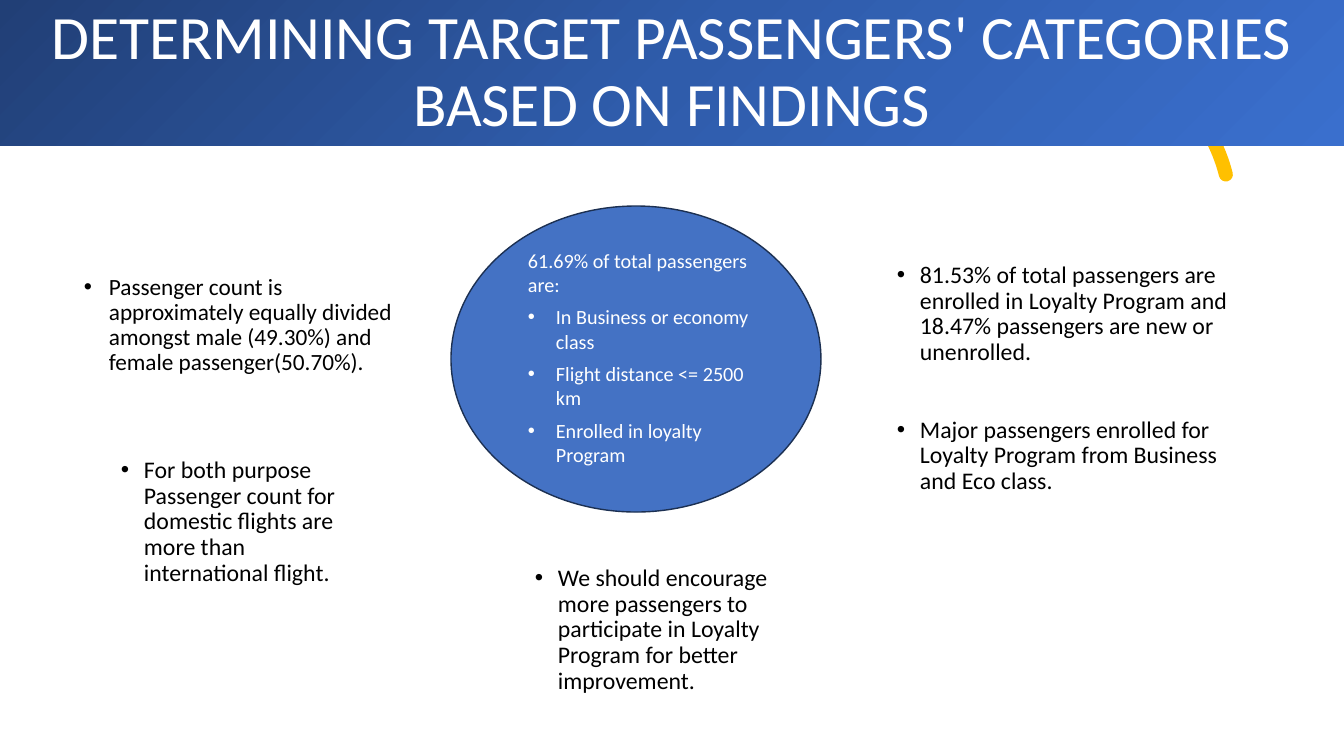
import pptx
import pptx.util
import pptx.dml.color
import pptx.enum.dml
import pptx.enum.shapes
import pptx.enum.text
import pptx.oxml
import pptx.oxml.ns

RGBColor = pptx.dml.color.RGBColor
WHITE = RGBColor(0xFF, 0xFF, 0xFF)
BLACK = RGBColor(0, 0, 0)
BLUE = RGBColor(0x44, 0x72, 0xC4)
NAVY = RGBColor(0x1C, 0x30, 0x52)
GOLD = RGBColor(0xFF, 0xC0, 0x00)
BANNER_STOPS = [
    (0, RGBColor(0x21, 0x3F, 0x76)),
    (50, RGBColor(0x2F, 0x5C, 0xAB)),
    (100, RGBColor(0x3A, 0x6F, 0xCD)),
]
FONT = "Calibri"
PX = 914400 / 100.8

TITLE = "DETERMINING TARGET PASSENGERS' CATEGORIES BASED ON FINDINGS"
TARGET_INTRO = "61.69% of total passengers are:"
TARGET_TRAITS = [
    "In Business or economy class",
    "Flight distance <= 2500 km",
    "Enrolled in loyalty Program",
]
FINDINGS = [
    ((111, 453, 273, 157), 17, 23, [
        "For both purpose Passenger count for domestic flights are more than "
        "international flight."]),
    ((887, 258, 370, 266), 17, 23, [
        "81.53% of total passengers are enrolled in Loyalty Program and 18.47% "
        "passengers are new or unenrolled.",
        "Major passengers enrolled for Loyalty Program from Business and Eco class."]),
    ((74, 270, 348, 122), 16.6, 25, [
        "Passenger count is approximately equally divided amongst male (49.30%) "
        "and female passenger(50.70%)."]),
    ((525, 561, 273, 157), 17, 23, [
        "We should encourage more passengers to participate in Loyalty Program "
        "for better improvement."]),
]


def px(n):
    return pptx.util.Emu(round(n * PX))


def xml(text):
    return pptx.oxml.parse_xml(text.replace(">", " " + pptx.oxml.ns.nsdecls("a") + ">", 1))


def add_shape(kind, box):
    sp = slide.shapes.add_shape(kind, *map(px, box))
    sp.shadow.inherit = False
    return sp


def add_textbox(box):
    tf = slide.shapes.add_textbox(*map(px, box)).text_frame
    tf.word_wrap = True
    return tf


def add_text(tf, text, size, color=BLACK, indent=0, before=0, spacing=None, align=None):
    p = tf.paragraphs[0] if not tf.text else tf.add_paragraph()
    p.space_before = pptx.util.Pt(before)
    p.line_spacing = spacing
    p.alignment = align
    if indent:
        pPr = p._p.get_or_add_pPr()
        pPr.set("marL", str(px(indent)))
        pPr.set("indent", str(-px(indent)))
        pPr.append(xml(f'<a:buClr><a:srgbClr val="{color}"/></a:buClr>'))
        pPr.append(xml('<a:buFont typeface="Arial"></a:buFont>'))
        pPr.append(xml('<a:buChar char="•"></a:buChar>'))
    r = p.add_run()
    r.text = text
    r.font.size = pptx.util.Pt(size)
    r.font.name = FONT
    r.font.color.rgb = color


prs = pptx.Presentation()
prs.slide_width, prs.slide_height = px(1344), px(756)
slide = prs.slides.add_slide(prs.slide_layouts[6])
SHAPE = pptx.enum.shapes.MSO_SHAPE

arc = add_shape(SHAPE.ARC, (901, 50, 330, 330))
arc.adjustments[0], arc.adjustments[1] = 146.13, 0
arc.rotation = 345.8
arc.fill.background()
arc.line.color.rgb = GOLD
arc.line.width = pptx.util.Pt(10)
arc.line.dash_style = pptx.enum.dml.MSO_LINE.DASH
arc.line._get_or_add_ln().set("cap", "rnd")

banner = add_shape(SHAPE.RECTANGLE, (0, 0, 1344, 146))
banner.line.fill.background()
stops = "".join(f'<a:gs pos="{pos * 1000}"><a:srgbClr val="{color}"/></a:gs>'
                for pos, color in BANNER_STOPS)
banner._element.spPr.find(pptx.oxml.ns.qn("a:prstGeom")).addnext(xml(
    f'<a:gradFill><a:gsLst>{stops}</a:gsLst><a:path path="circle">'
    '<a:fillToRect r="100000" b="100000"/></a:path></a:gradFill>'))
tf = banner.text_frame
tf.word_wrap = True
tf.vertical_anchor = pptx.enum.text.MSO_ANCHOR.MIDDLE
add_text(tf, TITLE, 44, WHITE, spacing=0.9, align=pptx.enum.text.PP_ALIGN.CENTER)

ellipse = add_shape(SHAPE.OVAL, (451, 206, 370, 306))
ellipse.fill.solid()
ellipse.fill.fore_color.rgb = BLUE
ellipse.line.color.rgb = NAVY
ellipse.line.width = pptx.util.Pt(1)

tf = add_textbox((518, 243, 255, 231))
add_text(tf, TARGET_INTRO, 14.4, WHITE)
for trait in TARGET_TRAITS:
    add_text(tf, trait, 14.4, WHITE, indent=28, before=6)

for box, size, indent, points in FINDINGS:
    tf = add_textbox(box)
    for i, point in enumerate(points):
        add_text(tf, point, size, indent=indent, before=37 if i else 0, spacing=0.9)

prs.save("out.pptx")
